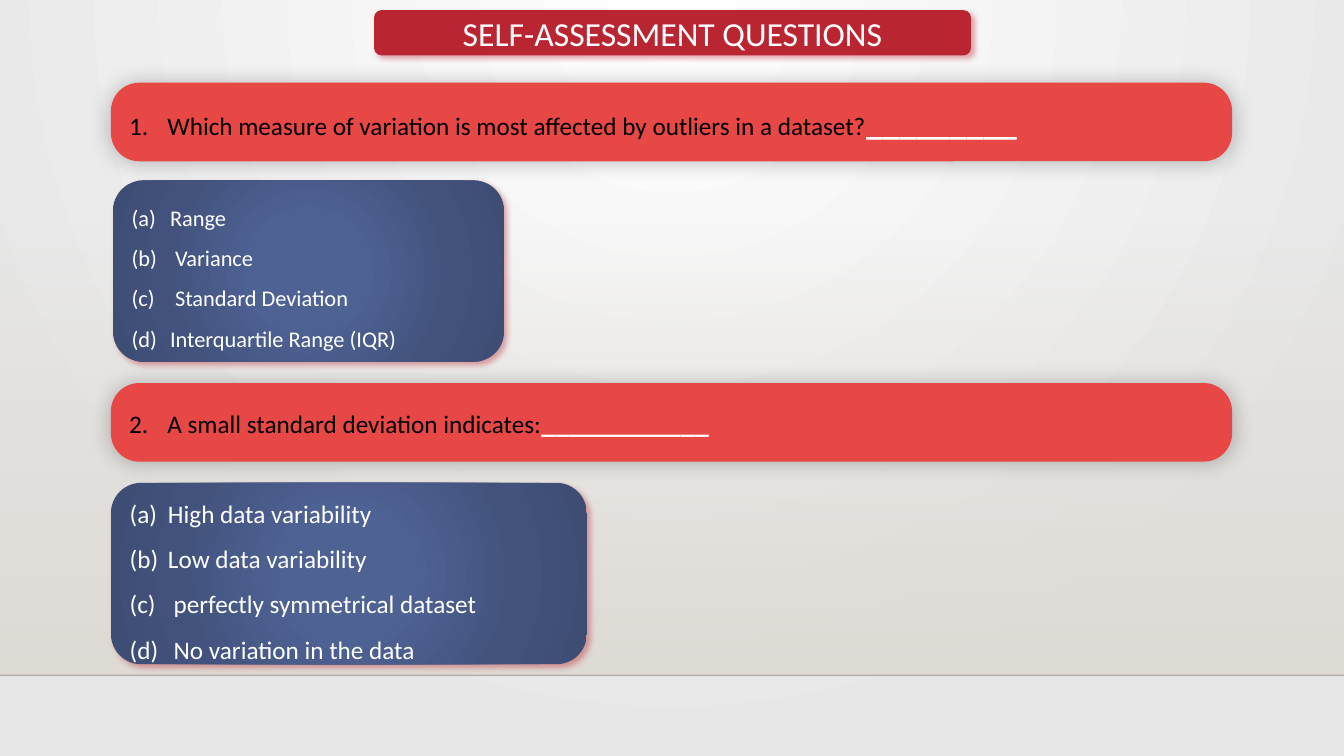
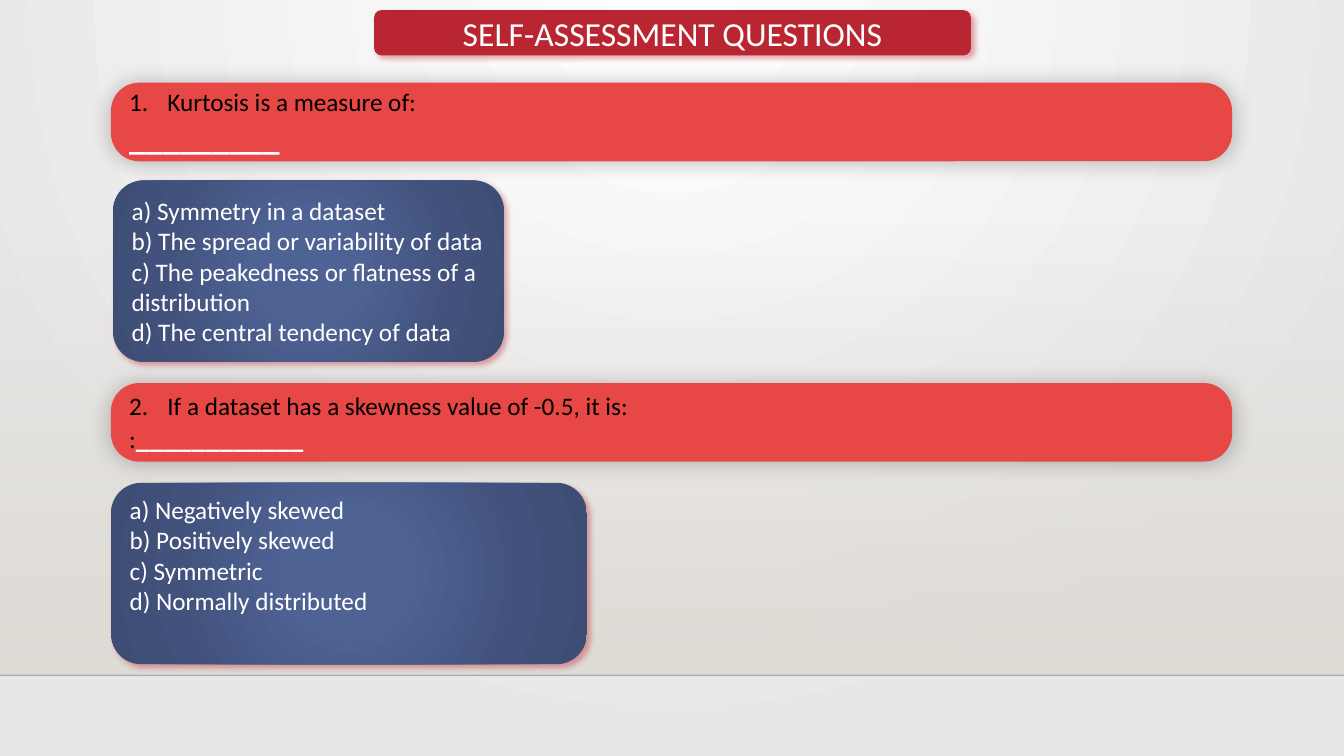
import pptx
import pptx.util
import pptx.dml.color
import pptx.enum.shapes
import pptx.enum.text
import pptx.oxml
import pptx.oxml.ns

Inches = pptx.util.Inches
Pt = pptx.util.Pt
RGBColor = pptx.dml.color.RGBColor
MSO_SHAPE = pptx.enum.shapes.MSO_SHAPE
ALIGN = pptx.enum.text.PP_ALIGN
ANCHOR = pptx.enum.text.MSO_ANCHOR
qn = pptx.oxml.ns.qn

WHITE = RGBColor(0xFF, 0xFF, 0xFF)
BLACK = RGBColor(0, 0, 0)
INK = RGBColor(0, 0, 1)
GREY = RGBColor(0xE7, 0xE7, 0xE7)
SAND = RGBColor(0xDF, 0xDB, 0xD5)
CRIMSON = RGBColor(0xBA, 0x25, 0x32)
RED = RGBColor(0xE8, 0x48, 0x45)
BLUE = RGBColor(0x4E, 0x62, 0x94)
SLATE = RGBColor(0x42, 0x52, 0x7C)
NAVY = RGBColor(0x3E, 0x4D, 0x74)

FONT = "Calibri"
WIDTH, HEIGHT = 13.33, 7.5
FLOOR = 6.7
PILL = (3.71, 0.1, 5.92, 0.45)
HANG = 0.38
CARD = [(0, BLUE), (23, BLUE), (69, SLATE), (97, NAVY)]
CENTRE = '<a:path path="circle"><a:fillToRect l="50000" t="50000" r="50000" b="50000"/></a:path>'
TOP = '<a:path path="circle"><a:fillToRect l="43000" t="0" r="43000" b="100000"/></a:path>'
DOWN = '<a:lin ang="5400000" scaled="0"/>'
NS = pptx.oxml.ns.nsdecls("a")


def make(xml):
    """Parse one drawing element whose tag is followed by a {} for namespaces."""
    return pptx.oxml.parse_xml(xml.format(NS))


def blend(parent, stops, way):
    """Swap the solid fill in parent for a gradient of (percent, colour[, alpha]) stops."""
    marks = ""
    for at, colour, *alpha in stops:
        fade = "".join(f'<a:alpha val="{a * 1000}"/>' for a in alpha)
        marks += f'<a:gs pos="{at * 1000}"><a:srgbClr val="{colour}">{fade}</a:srgbClr></a:gs>'
    old = parent.find(qn("a:solidFill"))
    parent.replace(old, make(f'<a:gradFill {{}} rotWithShape="1"><a:gsLst>{marks}</a:gsLst>{way}</a:gradFill>'))


def shade(shape, colour, alpha, blur, dist, angle):
    shape.element.spPr.find(qn("a:effectLst")).append(make(
        f'<a:outerShdw {{}} blurRad="{Pt(blur)}" dist="{Pt(dist)}" dir="{angle * 60000}" algn="ctr" '
        f'rotWithShape="0"><a:srgbClr val="{colour}"><a:alpha val="{alpha * 1000}"/></a:srgbClr></a:outerShdw>'))


def block(slide, kind, box, colour):
    shape = slide.shapes.add_shape(kind, *map(Inches, box))
    shape.shadow.inherit = False
    shape.fill.solid()
    shape.fill.fore_color.rgb = colour
    shape.line.fill.background()
    return shape


def style(run, size, colour, bold=False):
    run.font.name = FONT
    run.font.size = Pt(size)
    run.font.bold = bold
    run.font.color.rgb = colour


def number(para, scheme, start=1):
    props = para._p.get_or_add_pPr()
    props.set("marL", str(Inches(HANG)))
    props.set("indent", str(-Inches(HANG)))
    props.append(make(f'<a:buAutoNum {{}} type="{scheme}" startAt="{start}"/>'))


def set_master(deck, slide):
    """Give the master its background, floor band, floor line and title pill."""
    master = deck.slide_master
    master.background.fill.solid()
    master.background.fill.fore_color.rgb = GREY
    blend(master.element.find(".//" + qn("p:bgPr")), [(0, WHITE), (100, GREY)], TOP)

    band = block(slide, MSO_SHAPE.RECTANGLE, (0, 2.21, WIDTH, FLOOR - 2.21), SAND)
    blend(band.element.spPr, [(0, SAND, 0), (100, SAND)], DOWN)

    edge = slide.shapes.add_connector(
        pptx.enum.shapes.MSO_CONNECTOR.STRAIGHT, 0, Inches(FLOOR), Inches(WIDTH), Inches(FLOOR))
    edge.line.width = Pt(1)
    edge.line.color.rgb = INK
    edge.element.spPr.find(".//" + qn("a:srgbClr")).append(make('<a:alpha {} val="20000"/>'))
    edge.element.spPr.append(make("<a:effectLst {}/>"))

    pill = block(slide, MSO_SHAPE.ROUNDED_RECTANGLE, PILL, CRIMSON)
    shade(pill, CRIMSON, 40, 4, 3, 45)

    tree = master.shapes.element
    for spot, part in enumerate((band, edge, pill)):
        part.element.find(".//" + qn("p:cNvPr")).set("id", str(100 + spot))
        tree.insert(2 + spot, part.element)


def set_title(slide, text):
    title = slide.shapes.title
    title.left, title.top, title.width, title.height = map(Inches, PILL)
    frame = title.text_frame
    frame.text = text
    frame.auto_size = pptx.enum.text.MSO_AUTO_SIZE.NONE
    frame.vertical_anchor = ANCHOR.MIDDLE
    frame.paragraphs[0].alignment = ALIGN.CENTER
    style(frame.paragraphs[0].runs[0], 24, WHITE)


def add_query(slide, box, start, lines, size):
    """Draw a question bar; underscores in its lines become a bold white blank."""
    bar = block(slide, MSO_SHAPE.ROUNDED_RECTANGLE, box, RED)
    bar.adjustments[0] = 0.36
    shade(bar, BLACK, 25, 15, 0, 0)
    frame = bar.text_frame
    frame.word_wrap = True
    frame.vertical_anchor = ANCHOR.MIDDLE
    frame.text = "\n".join(lines)
    for para in frame.paragraphs:
        para.alignment = ALIGN.LEFT
        words = para.text.rstrip("_")
        blank = para.text[len(words):]
        para.text = words
        for run in para.runs:
            style(run, 18, BLACK)
        if blank:
            run = para.add_run()
            run.text = blank
            style(run, size, WHITE, True)
    number(frame.paragraphs[0], "arabicPeriod", start)


def add_picks(slide, box, lines, size, auto, foot):
    """Draw an answer card, lettered automatically if auto is true."""
    card = block(slide, MSO_SHAPE.ROUNDED_RECTANGLE, box, BLUE)
    blend(card.element.spPr, CARD, CENTRE)
    shade(card, CRIMSON, 40, 4, 3, 45)
    frame = card.text_frame
    frame.word_wrap = True
    frame.vertical_anchor = ANCHOR.MIDDLE
    frame.margin_bottom = Inches(foot)
    frame.text = "\n".join(lines)
    for para in frame.paragraphs:
        para.alignment = ALIGN.LEFT
        if auto:
            para.line_spacing = 1.5
            number(para, "alphaLcParenBoth")
        style(para.runs[0], size, WHITE)


# Top of the question, then left, top and width of its answer card, and size of its blank
ROWS = [(0.82, 1.12, 1.79, 3.88, 24), (3.8, 1.1, 4.79, 4.72, 20)]

# Each question: its lines, answers, answer size, automatic letters, bottom margin
QUIZ = [
    [
        (["Which measure of variation is most affected by outliers in a dataset?_________"],
         ["Range", " Variance", " Standard Deviation", "Interquartile Range (IQR)"], 16, True, 0.05),
        (["A small standard deviation indicates:____________"],
         ["High data variability", "Low data variability", " perfectly symmetrical dataset",
          " No variation in the data"], 18, True, 0.05),
    ],
    [
        (["Kurtosis is a measure of:", "_________"],
         ["a) Symmetry in a dataset", "b) The spread or variability of data",
          "c) The peakedness or flatness of a distribution", "d) The central tendency of data"],
         18, False, 0.05),
        (["If a dataset has a skewness value of -0.5, it is:", ":____________"],
         ["a) Negatively skewed", "b) Positively skewed", "c) Symmetric", "d) Normally distributed"],
         18, False, 0.42),
    ],
]


def main():
    deck = pptx.Presentation()
    deck.slide_width, deck.slide_height = Inches(WIDTH), Inches(HEIGHT)
    for page, quiz in enumerate(QUIZ):
        slide = deck.slides.add_slide(deck.slide_layouts.get_by_name("Title Only"))
        if page == 0:
            set_master(deck, slide)
        set_title(slide, "SELF-ASSESSMENT QUESTIONS")
        for start, (row, item) in enumerate(zip(ROWS, quiz), 1):
            top, left, low, wide, blank = row
            lines, picks, size, auto, foot = item
            add_query(slide, (1.1, top, 11.12, 0.78), start, lines, blank)
            add_picks(slide, (left, low, wide, 1.8), picks, size, auto, foot)
    deck.save("out.pptx")


if __name__ == "__main__":
    main()
